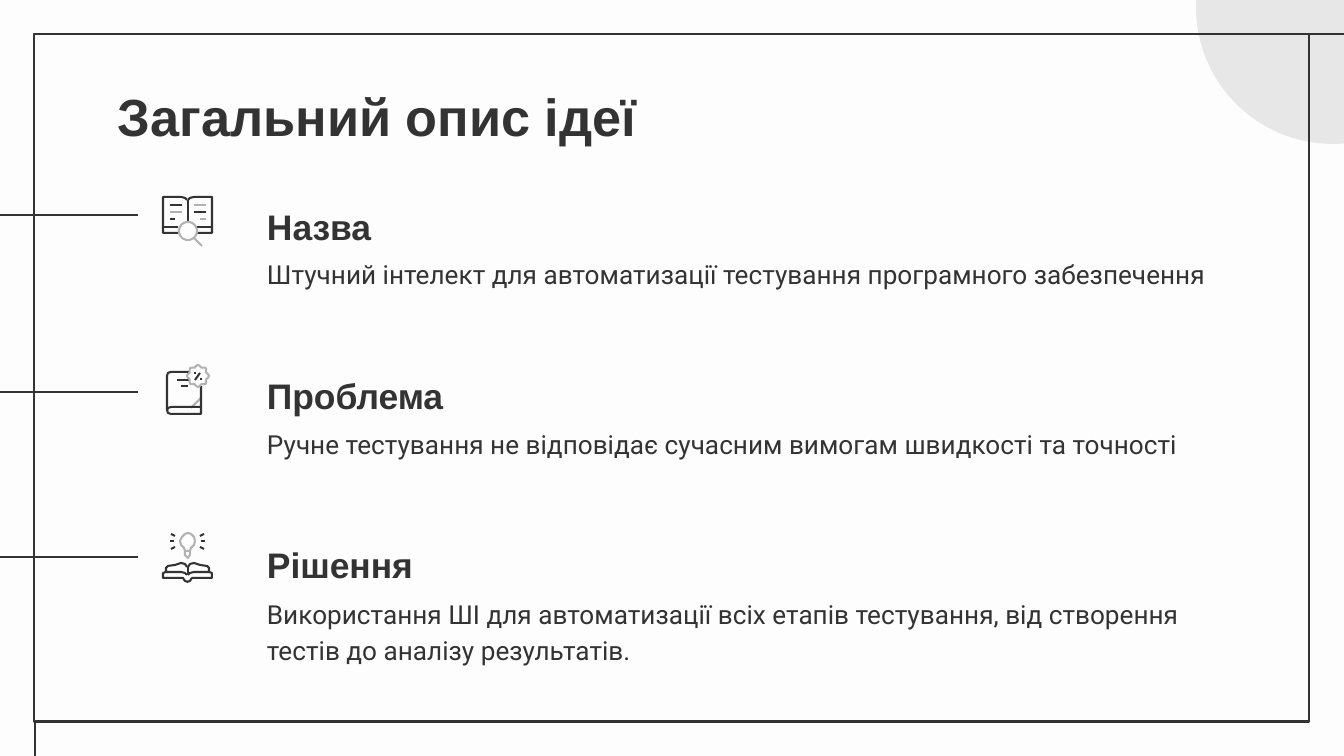
from math import cos, pi, sin

from lxml.etree import SubElement
from pptx import Presentation
from pptx.dml.color import RGBColor
from pptx.enum.shapes import MSO_CONNECTOR, MSO_SHAPE
from pptx.enum.text import MSO_ANCHOR, MSO_AUTO_SIZE, PP_ALIGN
from pptx.oxml.ns import qn
from pptx.util import Pt

PX = 914400 / 134.4
COLORS = {"paper": "FDFDFD", "circle": "E8E7E7", "ink": "333333", "soft": "B2B2B2"}
TITLE_FONT = {"name": "Arial", "size": Pt(28), "bold": True}
HEADING_FONT = {"name": "Arial", "size": Pt(19), "bold": True}
BODY_FONT = {"name": "Roboto", "size": Pt(14), "bold": False}


def write(holder, words, font, frame, spacing):
    """Fill a text holder and apply its frame and font values."""
    inset = round(13 * PX)
    values = {"margin_left": inset, "margin_right": inset, "margin_top": inset,
              "margin_bottom": inset, "word_wrap": True,
              "auto_size": MSO_AUTO_SIZE.NONE, **frame}
    holder.text_frame.text = words
    for key, value in values.items():
        setattr(holder.text_frame, key, value)
    paragraph = holder.text_frame.paragraphs[0]
    paragraph.alignment = PP_ALIGN.LEFT
    paragraph.line_spacing = spacing
    run_font = paragraph.runs[0].font
    for key, value in font.items():
        setattr(run_font, key, value)
    run_font.color.rgb = RGBColor.from_string(COLORS["ink"])


def stroke(color, points, width=1.1):
    """Draw a straight line through two points, or an open outline through more."""
    if len(points) == 2:
        drawn = slide.shapes.add_connector(
            MSO_CONNECTOR.STRAIGHT, *[round(v * PX) for point in points for v in point])
        SubElement(drawn._element.spPr, qn("a:effectLst"))
    else:
        # Tenths of a px keep curves smooth, as the builder rounds its units
        tenths = [(10 * x, 10 * y) for x, y in points]
        builder = slide.shapes.build_freeform(*tenths[0], scale=PX / 10)
        builder.add_line_segments(tenths[1:], close=False)
        drawn = builder.convert_to_shape()
        drawn.fill.background()
        drawn.shadow.inherit = False
    drawn.line.color.rgb = RGBColor.from_string(COLORS[color])
    drawn.line.width = Pt(width)


prs = Presentation()
prs.slide_width, prs.slide_height = round(1344 * PX), round(756 * PX)
slide = prs.slides.add_slide(prs.slide_layouts[5])
slide.background.fill.solid()
slide.background.fill.fore_color.rgb = RGBColor.from_string(COLORS["paper"])

# Corner circle and page frame
corner = slide.shapes.add_shape(
    MSO_SHAPE.OVAL, *[round(v * PX) for v in (1196, -130, 274, 274)])
corner.fill.solid()
corner.fill.fore_color.rgb = RGBColor.from_string(COLORS["circle"])
corner.line.fill.background()
corner.shadow.inherit = False

frame = slide.shapes.add_shape(
    MSO_SHAPE.RECTANGLE, *[round(v * PX) for v in (34, 34, 1275, 688)])
frame.fill.background()
frame.line.color.rgb = RGBColor.from_string(COLORS["ink"])
frame.line.width = Pt(1.5)
frame.shadow.inherit = False

# Lines that run off the frame and to the icons
stroke("ink", [(1355, 34), (1309, 34)], 1.5)
stroke("ink", [(35, 722), (35, 769)], 1.5)
for y in (215, 392, 557):
    stroke("ink", [(0, y), (138, y)], 1.5)

# Title
title = slide.shapes.title
title.left, title.top, title.width, title.height = [
    round(v * PX) for v in (105, 66, 1133, 85)]
write(title, "Загальний опис ідеї", TITLE_FONT,
      {"vertical_anchor": MSO_ANCHOR.TOP, "margin_top": round(18 * PX)}, 1.0)

# Idea sections: heading above its description
sections = [
    ("Назва", "Штучний інтелект для автоматизації тестування програмного забезпечення"),
    ("Проблема", "Ручне тестування не відповідає сучасним вимогам швидкості та точності"),
    ("Рішення", "Використання ШІ для автоматизації всіх етапів тестування, "
                "від створення тестів до аналізу результатів."),
]
for i, (heading, description) in enumerate(sections):
    for words, top, font, anchor in (
            (description, 241 + 170 * i, BODY_FONT, MSO_ANCHOR.TOP),
            (heading, 183 + 169 * i, HEADING_FONT, MSO_ANCHOR.BOTTOM)):
        box = slide.shapes.add_textbox(*[round(v * PX) for v in (254, top, 972, 78)])
        write(box, words, font, {"vertical_anchor": anchor}, 1.15)

# Symmetric icon halves: open book of the first icon, book and rays of the third
halves = [
    [(178, 233), (163, 233), (163, 197), (181, 197), (185, 198), (187, 200)],
    [(163, 227), (178, 227)],
    [(187, 567), (185, 564), (181, 563), (175, 565), (168, 566), (166, 568),
     (166, 572), (181, 572), (185, 573), (187, 575)],
    [(166, 572), (163, 573), (163, 578), (183, 578), (185, 581), (188, 582)],
    [(170, 541), (174, 541)],
    [(171, 534), (175, 536)],
    [(171, 549), (175, 547)],
]
for half in halves:
    stroke("ink", half)
    stroke("ink", [(375 - x, y) for x, y in half])

# Remaining icon strokes
details = [
    # Book with magnifier
    ("ink", [(188, 200), (188, 221)]),
    ("ink", [(170, 205), (182, 205)]),
    ("soft", [(170, 212), (182, 212)]),
    ("ink", [(170, 219), (175, 219)]),
    ("soft", [(194, 205), (206, 205)]),
    ("ink", [(194, 212), (206, 212)]),
    ("soft", [(200, 219), (206, 219)]),
    ("soft", [(194, 238), (202, 246)]),
    # Closed book with badge
    ("soft", [(201, 398), (191, 408)]),
    ("ink", [(189, 372), (171, 372), (168, 373), (167, 376), (167, 410),
             (168, 413), (171, 414), (201, 414), (201, 386)]),
    ("ink", [(167, 411), (168, 408), (171, 407), (201, 407)]),
    ("ink", [(177, 380), (190, 380)]),
    ("ink", [(181, 386), (188, 386)]),
    ("ink", [(195, 380), (200, 373)]),
    ("ink", [(194, 373), (196, 373)]),
    ("ink", [(200, 379), (202, 379)]),
    # Light bulb over a book
    ("ink", [(188, 567), (188, 575)]),
    ("soft", [(185, 551), (184, 548), (181, 545), (180, 541), (182, 537),
              (185, 534), (188, 533), (191, 534), (194, 537), (195, 541),
              (194, 545), (191, 548), (190, 551), (185, 551)]),
    ("soft", [(185, 551), (185, 555), (188, 558), (190, 555), (190, 551)]),
]
for color, points in details:
    stroke(color, points)

# Magnifier lens and scalloped badge
for cx, cy, radius, wave in ((188, 231, 9, 0), (198, 376, 10, 1)):
    angles = [2 * pi * step / 48 for step in range(49)]
    reach = [radius + wave * cos(8 * angle) for angle in angles]
    stroke("soft", [(cx + r * cos(angle), cy + r * sin(angle))
                    for r, angle in zip(reach, angles)])

prs.save("out.pptx")
